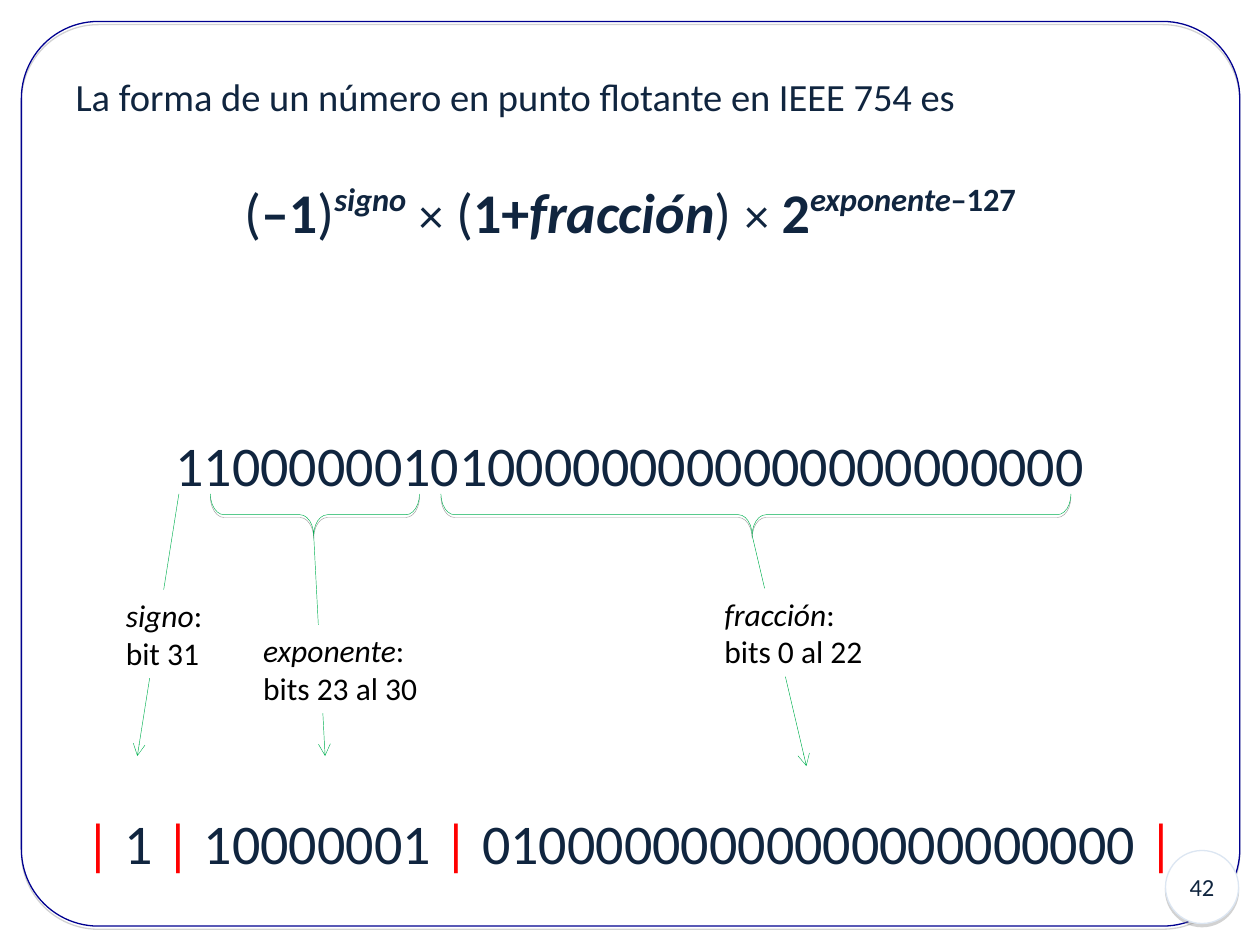
from lxml import etree
from pptx import Presentation
from pptx.dml.color import RGBColor
from pptx.enum.shapes import MSO_CONNECTOR, MSO_SHAPE
from pptx.enum.text import MSO_ANCHOR, MSO_AUTO_SIZE, PP_ALIGN
from pptx.oxml.ns import qn
from pptx.util import Inches, Pt

LINE = MSO_CONNECTOR.STRAIGHT
ROUND, OVAL, BRACE = MSO_SHAPE.ROUNDED_RECTANGLE, MSO_SHAPE.OVAL, MSO_SHAPE.LEFT_BRACE
MIDDLE, CENTER, LEFT = MSO_ANCHOR.MIDDLE, PP_ALIGN.CENTER, PP_ALIGN.LEFT
FIXED = MSO_AUTO_SIZE.NONE
NAVY, RED, GREEN, WHITE, BLACK = "10253F", "FF0000", "00B050", "FFFFFF", "000000"


def color(code):
    """Turn a hex string into a colour."""
    return RGBColor.from_string(code)


def box(*sides):
    """Turn inches into lengths."""
    return [Inches(side) for side in sides]


class Deck:
    """Hold the style and the current slide."""

    font = "Calibri"

    def __init__(self):
        """Open a deck with one slide that keeps only its body."""
        self.file = Presentation()
        self.file.slide_width, self.file.slide_height = box(10, 7.5)
        self.slide = self.file.slides.add_slide(self.file.slide_layouts[1])
        title = self.slide.shapes.title.element
        title.getparent().remove(title)

    def shade(self, shape, tint, alpha, drop):
        """Cast a hard shadow straight down."""
        shape.shadow.inherit = False
        effects = shape.element.spPr.find(qn("a:effectLst"))
        outer = etree.SubElement(effects, qn("a:outerShdw"), blurRad="0",
                                 dist=str(Pt(drop)), dir="5400000", rotWithShape="0")
        tone = etree.SubElement(outer, qn("a:srgbClr"), val=tint)
        etree.SubElement(tone, qn("a:alpha"), val=str(alpha * 1000))

    def shape(self, kind, place, line, width=0.75, fill=None, shadow=("808080", 35, 1.8)):
        """Add an outlined preset shape."""
        shape = self.slide.shapes.add_shape(kind, *box(*place))
        if fill:
            shape.fill.solid()
            shape.fill.fore_color.rgb = color(fill)
        else:
            shape.fill.background()
        shape.line.color.rgb = color(line)
        shape.line.width = Pt(width)
        self.shade(shape, *shadow)
        return shape

    def style(self, para, size, tint, align=LEFT):
        """Set the look of a whole paragraph."""
        para.alignment = align
        para.font.name = self.font
        para.font.size = Pt(size)
        para.font.color.rgb = color(tint)

    def body(self, place, rows):
        """Fill the body with rows of size, space, alignment and runs."""
        shape = self.slide.placeholders[1]
        shape.left, shape.top, shape.width, shape.height = box(*place)
        frame = shape.text_frame
        frame.auto_size, frame.vertical_anchor = FIXED, MIDDLE
        for i, (size, space, align, runs) in enumerate(rows):
            para = frame.add_paragraph() if i else frame.paragraphs[0]
            self.style(para, size, NAVY, align)
            para.line_spacing, para.space_before = 1.15, Pt(space)
            props = para._p.get_or_add_pPr()
            props.set("marL", "0")
            props.set("indent", "0")
            props.insert_element_before(props.makeelement(qn("a:buNone")),
                                        "a:tabLst", "a:defRPr", "a:extLst")
            for text, look in runs:
                self.run(para, text, **look)

    def run(self, para, text, bold=None, italic=None, size=None, tint=None, up=False):
        """Add a run with its own look."""
        run = para.add_run()
        run.text = text
        run.font.bold, run.font.italic = bold, italic
        if size:
            run.font.size = Pt(size)
        if tint:
            run.font.color.rgb = color(tint)
        if up:
            run.font._element.set("baseline", "40000")

    def badge(self, place, text):
        """Add the round page number."""
        shape = self.shape(OVAL, place, "DCE6F2", fill=WHITE)
        frame = shape.text_frame
        frame.text, frame.vertical_anchor, frame.word_wrap = text, MIDDLE, False
        self.style(frame.paragraphs[0], 14, NAVY, CENTER)

    def brace(self, left, right, tip):
        """Add a brace that points down at the tip."""
        span, deep, top = right - left, 0.33, 3.92
        place = ((left + right - deep) / 2, top + (deep - span) / 2, deep, span)
        shape = self.shape(BRACE, place, GREEN, 0.25, shadow=(BLACK, 38, 1.6))
        shape.rotation = 270
        shape.adjustments[0] = 0.33
        shape.adjustments[1] = (tip - left) / span

    def arrow(self, start, end):
        """Add a thin arrow."""
        line = self.slide.shapes.add_connector(LINE, *box(*start, *end))
        line.line.color.rgb = color(GREEN)
        line.line.width = Pt(0.25)
        etree.SubElement(line.line._get_or_add_ln(), qn("a:tailEnd"), type="arrow")
        etree.SubElement(line._element.spPr, qn("a:effectLst"))

    def label(self, place, name, bits):
        """Add a white label with the field and its bits."""
        shape = self.slide.shapes.add_textbox(*box(*place))
        shape.fill.solid()
        shape.fill.fore_color.rgb = color(WHITE)
        frame = shape.text_frame
        frame.word_wrap, frame.auto_size = True, FIXED
        frame.margin_right = 0
        first, last = frame.paragraphs[0], frame.add_paragraph()
        self.run(first, name, italic=True)
        self.run(first, ":")
        self.run(last, bits)
        for para in (first, last):
            self.style(para, 18, BLACK)


def main():
    """Build the slide."""
    deck = Deck()
    bold, slant = {"bold": True}, {"bold": True, "italic": True}
    small, bar = {"size": 28}, ("|", {"tint": RED})
    power = [("(", {}), ("–1", bold), (")", {}), ("signo", {**slant, "up": True}),
             (" ", bold), ("×", small), (" ", bold), ("(", {}), ("1+", bold),
             ("fracción", slant), (") ", {}), ("×", small), (" 2", bold),
             ("exponente", {**slant, "up": True}), ("–127", {**bold, "up": True})]
    sign, scale, part = "1", "10000001", "01000000000000000000000"
    split = [bar]
    for field in (sign, scale, part):
        split += [(f" {field} ", {}), bar]
    gap, step = 28, 72
    deck.shape(ROUND, (0.17, 0.17, 9.67, 7.18), "000090").adjustments[0] = 0.085
    deck.badge((9.25, 6.75, 0.58, 0.58), "42")
    deck.body((0.5, 0.3, 9, 6.87), [
        (22, 22, LEFT, [("La forma de un número en punto flotante en IEEE 754 es", {})]),
        (32, gap, CENTER, power),
        (32, gap + step, CENTER, [(sign + scale + part, {})]),
        (32, gap + 2 * step, CENTER, split)])
    deck.arrow((1.42, 3.92), (1.09, 6))
    for left, right, tip, end in ((1.67, 3.33, 2.49, (2.58, 6)),
                                  (3.5, 8.5, 5.97, (6.4, 6.08))):
        deck.brace(left, right, tip)
        deck.arrow((tip, 4.25), end)
    for left, top, width, name, bits in (
            (0.9, 4.68, 0.8, "signo", "bit 31"),
            (1.99, 4.96, 1.42, "exponente", "bits 23 al 30"),
            (5.65, 4.67, 1.29, "fracción", "bits 0 al 22")):
        deck.label((left, top, width, 0.7), name, bits)
    deck.file.save("out.pptx")


if __name__ == "__main__":
    main()
